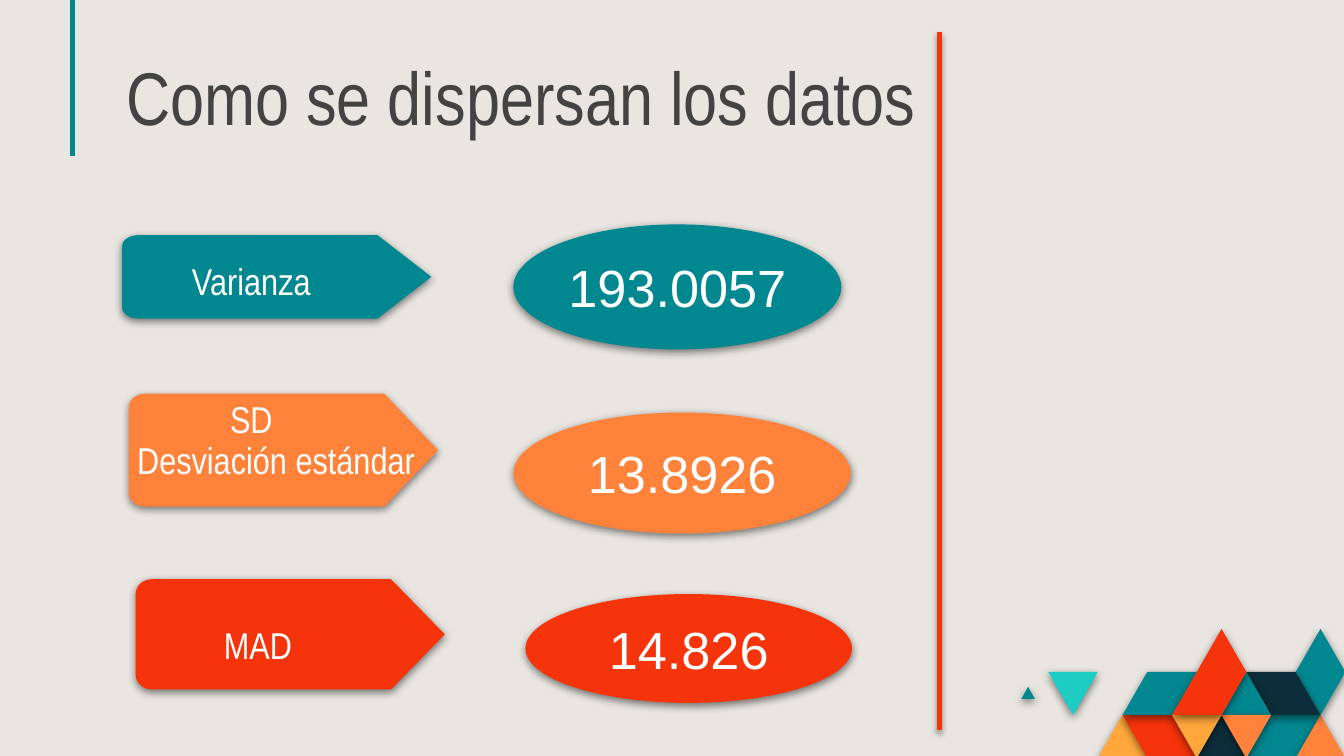
from math import cos, pi, sin

from lxml.etree import SubElement
from pptx import Presentation
from pptx.dml.color import RGBColor
from pptx.enum.shapes import MSO_CONNECTOR as Connector, MSO_SHAPE as Shape
from pptx.enum.text import MSO_ANCHOR as Anchor, PP_ALIGN as Align
from pptx.oxml.ns import qn
from pptx.util import Inches, Pt

TEAL, ORANGE, RED = "018790", "FF823B", "F5340B"
AMBER, NAVY, AQUA = "FFA73B", "0C2E3A", "1DCDC3"
WHITE, GRAY, SAND = "FFFFFF", "434343", "E9E6E1"

TITLE = ("Como se dispersan los datos", (0.84, 0.51, 6.09, 0.63))
MEASURES = [
    {"color": TEAL, "tag": (0.91, 1.75, 2.3, 0.62), "radius": 0.08,
     "value": "193.0057", "oval": (3.82, 1.67, 2.44, 0.93),
     "labels": [("Varianza", (0.91, 1.82, 1.92, 0.43))]},
    {"color": ORANGE, "tag": (0.96, 2.93, 2.3, 0.84), "radius": 0.1,
     "value": "13.8926", "oval": (3.82, 3.07, 2.51, 0.9),
     "labels": [("SD", (0.91, 2.85, 1.92, 0.43)),
                ("Desviación estándar", (0.68, 3.15, 2.75, 0.43))]},
    {"color": RED, "tag": (1.01, 4.31, 2.3, 0.82), "radius": 0.11,
     "value": "14.826", "oval": (3.91, 4.42, 2.43, 0.81),
     "labels": [("MAD", (0.96, 4.53, 1.92, 0.43))]},
]
RULES = [
    ((0.54, -0.07), (0.54, 1.16), TEAL, 2.25, None),
    ((6.99, 0.24), (6.99, 5.43), RED, 3, (3.1, 1.8, 35)),
]
MOSAIC_LEFT, MOSAIC_TOP, MOSAIC_WIDTH, MOSAIC_HEIGHT = 7.8, 4.68, 2.21, 0.96
COLUMN, ROW = MOSAIC_WIDTH / 12, MOSAIC_HEIGHT / 3
MOSAIC = [
    (AMBER, [(2, 3), (3, 2), (4, 3)]),
    (RED, [(3, 2), (5, 2), (6, 3), (4, 3)]),
    (TEAL, [(8, 3), (9, 2), (11, 2), (10, 3)]),
    (ORANGE, [(10, 3), (11, 2), (12, 3)]),
    (NAVY, [(6, 3), (7, 2), (8, 3)]),
    (TEAL, [(3, 2), (4, 1), (6, 1), (5, 2)]),
    (AQUA, [(0, 1), (2, 1), (1, 2)]),
    (TEAL, [(10, 1), (11, 0), (12, 1), (11, 2)]),
    (NAVY, [(8, 1), (10, 1), (11, 2), (9, 2)]),
    (TEAL, [(7, 2), (8, 1), (9, 2)]),
    (ORANGE, [(7, 2), (9, 2), (8, 3)]),
    (AMBER, [(5, 2), (7, 2), (6, 3)]),
    (RED, [(5, 2), (7, 0), (8, 1), (7, 2)]),
]
SMALL_TRIANGLE = [(7.6, 5.2), (7.65, 5.11), (7.7, 5.2)]
SOFT_SHADOW = (4.5, 1.5, 50)
TITLE_FONT = {"name": "Arial Narrow", "size": Pt(40)}
LABEL_FONT = {"name": "Arial Narrow", "size": Pt(20)}
VALUE_FONT = {"name": "Arial", "size": Pt(28)}
TAG_CORNER, TAG_TIP, ARC_STEPS = 0.12, 0.4, 8


def rgb(color):
    return RGBColor.from_string(color)


def add_shadow(effects, blur, distance, opacity):
    shadow = SubElement(effects, qn("a:outerShdw"), blurRad=str(Pt(blur)),
                        dist=str(Pt(distance)), dir="5400000",
                        algn="bl", rotWithShape="0")
    tint = SubElement(shadow, qn("a:srgbClr"), val="000000")
    SubElement(tint, qn("a:alpha"), val=str(opacity * 1000))


def paint(shape, color):
    shape.fill.solid()
    shape.fill.fore_color.rgb = rgb(color)
    shape.line.fill.background()
    shape.shadow.inherit = False
    add_shadow(shape._element.spPr.find(qn("a:effectLst")), *SOFT_SHADOW)


def add_polygon(slide, points, color):
    corners = [(Inches(x), Inches(y)) for x, y in points]
    builder = slide.shapes.build_freeform(*corners[0], scale=1.0)
    builder.add_line_segments(corners[1:], close=True)
    paint(builder.convert_to_shape(), color)


def write(shape, text, font, color, align, anchor, spacing=None, wrap=True):
    frame = shape.text_frame
    settings = {"word_wrap": wrap, "vertical_anchor": anchor}
    settings.update({f"margin_{side}": Inches(0.1)
                     for side in ("left", "top", "right", "bottom")})
    for key, value in settings.items():
        setattr(frame, key, value)
    paragraph = frame.paragraphs[0]
    paragraph.alignment, paragraph.line_spacing = align, spacing
    run = paragraph.add_run()
    run.text = text
    for key, value in font.items():
        setattr(run.font, key, value)
    run.font.color.rgb = rgb(color)


def add_text(slide, text, box, *style):
    write(slide.shapes.add_textbox(*map(Inches, box)), text, *style)


def add_rule(slide, start, end, color, width, shadow):
    rule = slide.shapes.add_connector(Connector.STRAIGHT, *map(Inches, start + end))
    rule.line.color.rgb = rgb(color)
    rule.line.width = Pt(width)
    effects = SubElement(rule._element.spPr, qn("a:effectLst"))
    if shadow:
        add_shadow(effects, *shadow)


def tag_outline(left, top, width, height, radius):
    right, bottom = left + width, top + height
    angles = [pi / 2 * step / ARC_STEPS for step in range(ARC_STEPS + 1)]
    upper = [(left + TAG_CORNER * (1 - cos(a)), top + radius * (1 - sin(a)))
             for a in angles]
    lower = [(x, top + bottom - y) for x, y in reversed(upper)]
    shoulder = right - TAG_TIP
    return upper + [(shoulder, top), (right, top + height / 2),
                    (shoulder, bottom)] + lower


def add_measure(slide, measure):
    color = measure["color"]
    add_polygon(slide, tag_outline(*measure["tag"], measure["radius"]), color)
    oval = slide.shapes.add_shape(Shape.OVAL, *map(Inches, measure["oval"]))
    paint(oval, color)
    write(oval, measure["value"], VALUE_FONT, WHITE, Align.CENTER, Anchor.MIDDLE,
          wrap=False)
    for text, box in measure["labels"]:
        add_text(slide, text, box, LABEL_FONT, WHITE, Align.CENTER, Anchor.TOP)


def main():
    deck = Presentation()
    deck.slide_width = Inches(10)
    deck.slide_height = deck.slide_width * 9 // 16
    slide = deck.slides.add_slide(deck.slide_layouts[6])
    slide.background.fill.solid()
    slide.background.fill.fore_color.rgb = rgb(SAND)

    for rule in RULES:
        add_rule(slide, *rule)
    for color, cells in MOSAIC:
        add_polygon(slide, [(MOSAIC_LEFT + column * COLUMN, MOSAIC_TOP + row * ROW)
                            for column, row in cells], color)
    add_polygon(slide, SMALL_TRIANGLE, TEAL)
    add_text(slide, *TITLE, TITLE_FONT, GRAY, Align.LEFT, Anchor.BOTTOM, 0.8)
    for measure in MEASURES:
        add_measure(slide, measure)
    deck.save("out.pptx")


if __name__ == "__main__":
    main()
